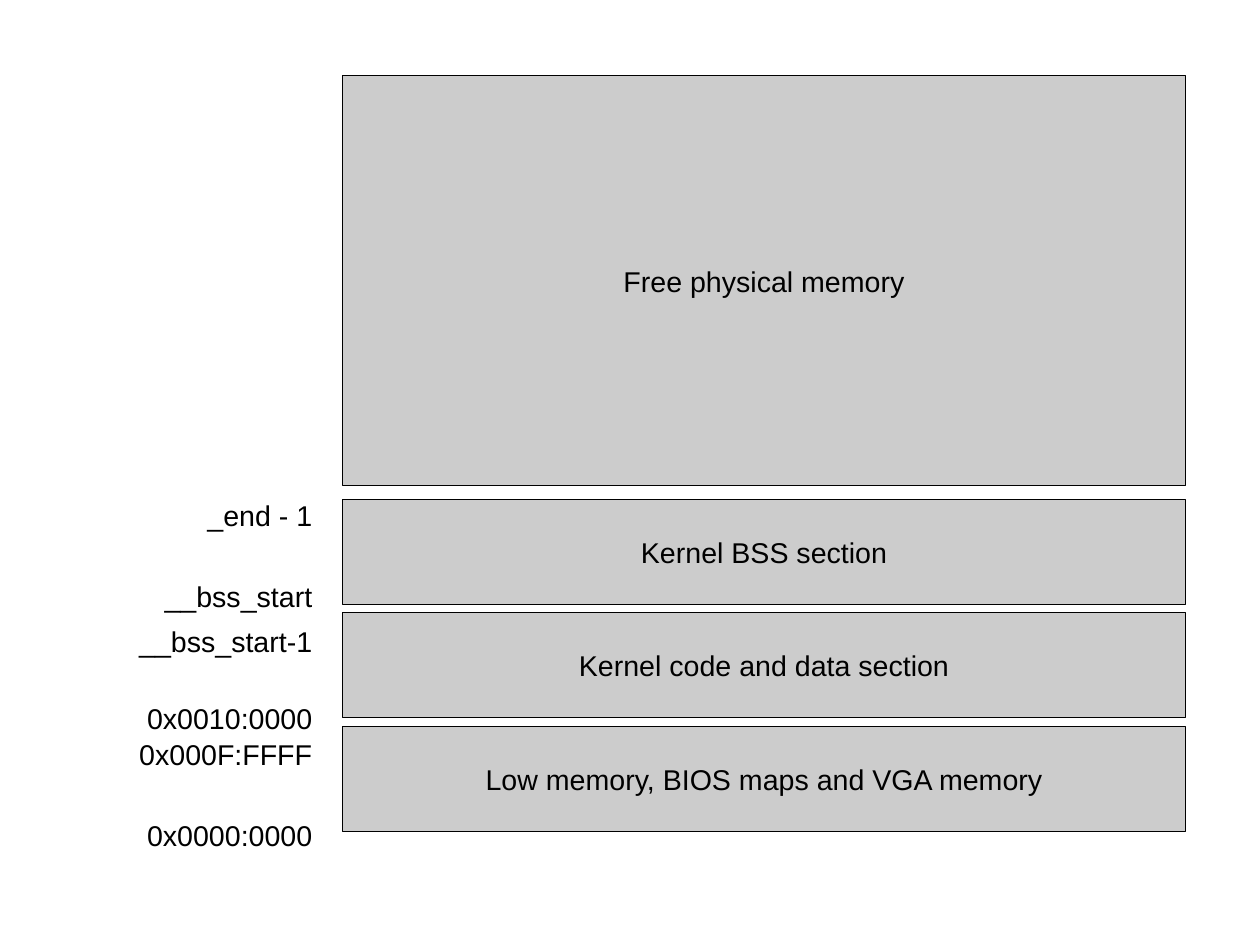
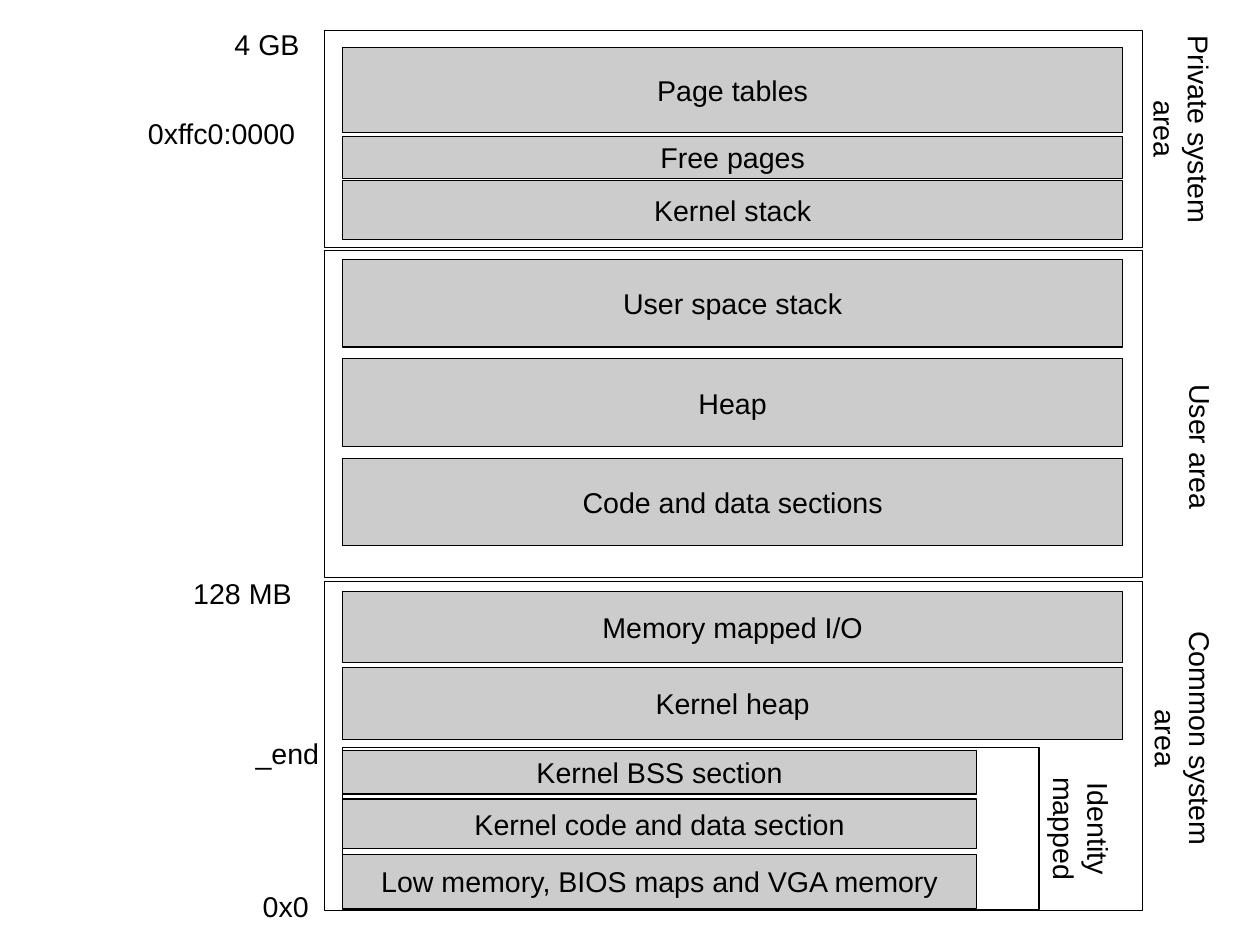
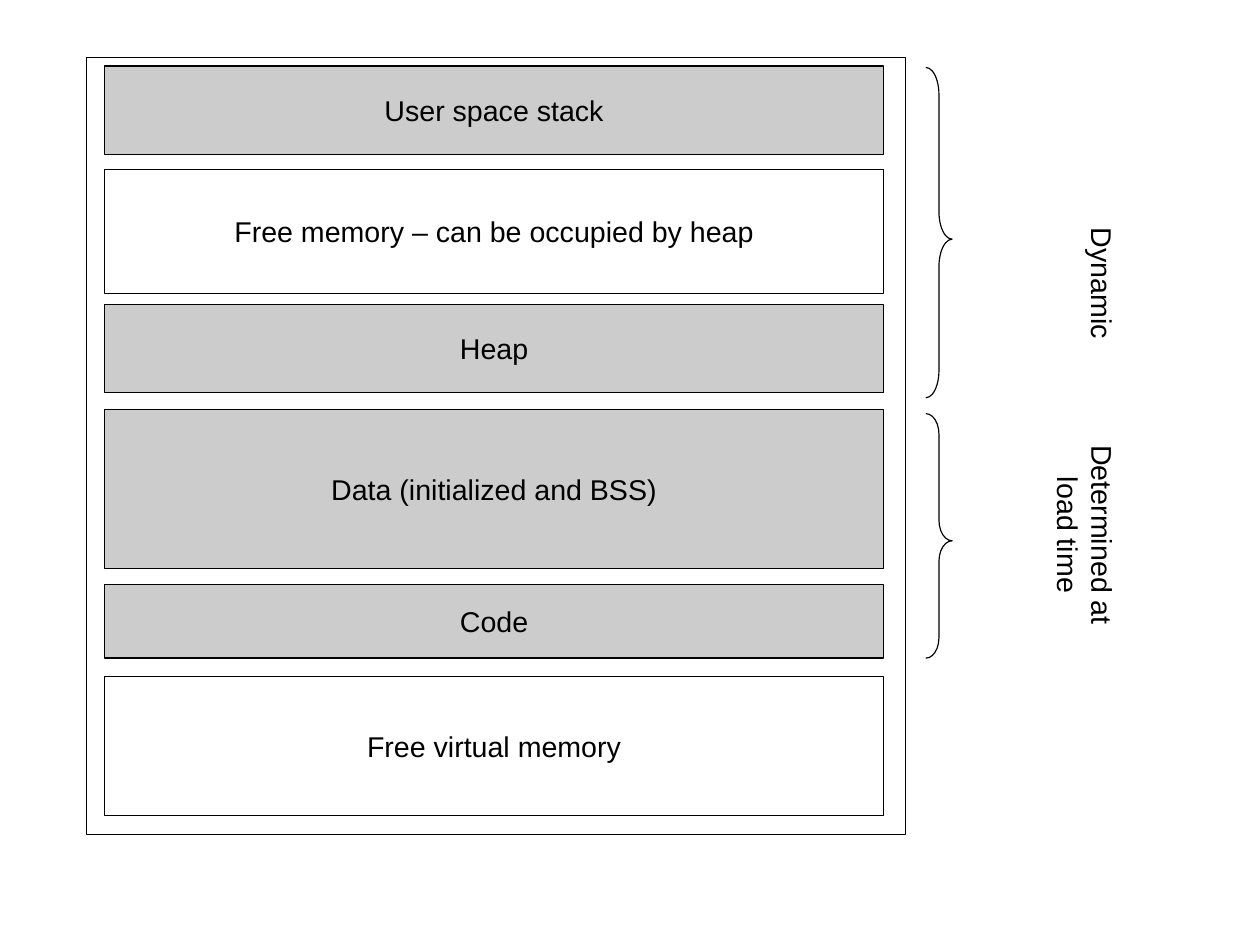
import pptx
import pptx.dml.color
import pptx.enum.shapes
import pptx.enum.text
import pptx.util

Pt = pptx.util.Pt
SHAPE = pptx.enum.shapes.MSO_SHAPE
ALIGN = pptx.enum.text.PP_ALIGN
ANCHOR = pptx.enum.text.MSO_ANCHOR

BLACK = pptx.dml.color.RGBColor(0x00, 0x00, 0x00)
GREY = pptx.dml.color.RGBColor(0xCC, 0xCC, 0xCC)
FONT = "Arial"
TEXT_SIZE = 18
LINE_HEIGHT = 20
INSET_X, INSET_Y = 7.2, 3.6

MAP_LEFT = 216
AREA_LEFT, AREA_WIDTH = 204.5, 515.5
BAND_WIDTH = 491
SECTIONS = ("Kernel BSS section", "Kernel code and data section",
            "Low memory, BIOS maps and VGA memory")


def write(shape, text, align=ALIGN.CENTER, anchor=ANCHOR.TOP, wrap=True):
    """Put text in a shape; a newline starts a paragraph, \\v breaks a line."""
    frame = shape.text_frame
    frame.word_wrap = wrap
    frame.vertical_anchor = anchor
    frame.margin_left = frame.margin_right = Pt(INSET_X)
    frame.margin_top = frame.margin_bottom = Pt(INSET_Y)
    frame.text = text
    for paragraph in frame.paragraphs:
        paragraph.alignment = align
        paragraph.font.name = FONT
        paragraph.font.size = Pt(TEXT_SIZE)
        paragraph.font.color.rgb = BLACK


def add_outline(slide, left, top, width, height, kind=SHAPE.RECTANGLE):
    shape = slide.shapes.add_shape(kind, Pt(left), Pt(top), Pt(width), Pt(height))
    shape.shadow.inherit = False
    shape.fill.background()
    shape.line.color.rgb = BLACK
    shape.line.width = Pt(0)
    return shape


def add_band(slide, text, left, top, width, height, fill=GREY):
    """Add a captioned memory region."""
    band = add_outline(slide, left, top, width, height)
    if fill is not None:
        band.fill.solid()
        band.fill.fore_color.rgb = fill
    write(band, text, anchor=ANCHOR.MIDDLE, wrap=False)


def add_address(slide, text, right, top):
    """Add an address label that ends at the given right edge."""
    width = 180
    label = slide.shapes.add_textbox(Pt(right - width), Pt(top), Pt(width),
                                     Pt(LINE_HEIGHT + 2 * INSET_Y))
    write(label, text, align=ALIGN.RIGHT)


def add_side_label(slide, text, center_x, center_y, lines=1, length=140):
    """Add a label that reads downwards around the given centre."""
    depth = lines * LINE_HEIGHT + 2 * INSET_Y
    label = slide.shapes.add_textbox(Pt(center_x - length / 2), Pt(center_y - depth / 2),
                                     Pt(length), Pt(depth))
    label.rotation = 90
    write(label, text)


def add_brace(slide, top, height, curve, tip):
    """Add a right brace; curve is relative to its width, tip to its height."""
    brace = add_outline(slide, 583.2, top, 16.6, height, SHAPE.RIGHT_BRACE)
    brace.adjustments[0] = curve
    brace.adjustments[1] = tip


def build_physical_memory(slide):
    width = 530.6
    add_band(slide, "Free physical memory", MAP_LEFT, 47.5, width, 258.5)
    for row, section in enumerate(SECTIONS):
        add_band(slide, section, MAP_LEFT, 314.5 + 71.5 * row, width, 66.2)
    for address, top in (("_end - 1", 310.3), ("__bss_start", 361.4),
                         ("__bss_start-1", 389.5), ("0x0010:0000", 437.8),
                         ("0x000F:FFFF", 460.8), ("0x0000:0000", 511.9)):
        add_address(slide, address, 203.8, top)


def build_virtual_memory(slide):
    for top, height in ((19.4, 136.8), (157.7, 205.9), (366.5, 207.2)):
        add_outline(slide, AREA_LEFT, top, AREA_WIDTH, height)

    for region, top, height in (("Page tables", 29.9, 53.8), ("Free pages", 85.9, 26.5),
                                ("Kernel stack", 113.8, 37.2),
                                ("Memory mapped I/O", 372.4, 45.2),
                                ("Kernel heap", 420.5, 45.4)):
        add_band(slide, region, MAP_LEFT, top, BAND_WIDTH, height)
    for row, region in enumerate(("User space stack", "Heap", "Code and data sections")):
        add_band(slide, region, MAP_LEFT, 163.4 + 62.6 * row, BAND_WIDTH, 55.2)

    add_outline(slide, MAP_LEFT, 471, 438.5, 102.2)
    extents = ((473, 27.2), (503.3, 31.5), (538.4, 33.8))
    for section, (top, height) in zip(SECTIONS, extents):
        add_band(slide, section, MAP_LEFT, top, 399, height)

    for address, right, top in (("4 GB", 195.8, 13.7), ("0xffc0:0000", 193, 69.8),
                                ("128 MB", 190.8, 359.3), ("_end", 208.1, 460.1),
                                ("0x0", 201.6, 556.6)):
        add_address(slide, address, right, top)

    add_side_label(slide, "Private system\narea", 746.3, 81.4, lines=2)
    add_side_label(slide, "User area", 757.1, 281.5)
    add_side_label(slide, "Common system\narea", 747, 465.1, lines=2, length=180)
    add_side_label(slide, "Identity\vmapped", 682.9, 522, lines=2)


def build_user_area(slide):
    add_outline(slide, 54.7, 36, AREA_WIDTH, 489.6)
    for region, top, height, fill in (
            ("User space stack", 41.6, 55.6, GREY),
            ("Free memory – can be occupied by heap", 106.6, 78.5, None),
            ("Heap", 191.7, 55.4, GREY),
            ("Data (initialized and BSS)", 258.1, 100.1, GREY),
            ("Code", 368.1, 46.4, GREY),
            ("Free virtual memory", 426.2, 87.8, None)):
        add_band(slide, region, 65.7, top, BAND_WIDTH, height, fill)

    add_brace(slide, 42.5, 208.1, 1.04, 0.52)
    add_side_label(slide, "Dynamic", 695.2, 178.6)
    add_brace(slide, 260.6, 154.1, 0.78, 0.52)
    add_side_label(slide, "Determined at load time", 685.4, 337, lines=2)


def main():
    deck = pptx.Presentation()
    deck.slide_width, deck.slide_height = Pt(793.7), Pt(595.3)
    blank = deck.slide_layouts[6]
    for build in (build_physical_memory, build_virtual_memory, build_user_area):
        build(deck.slides.add_slide(blank))
    deck.save("out.pptx")


if __name__ == "__main__":
    main()
